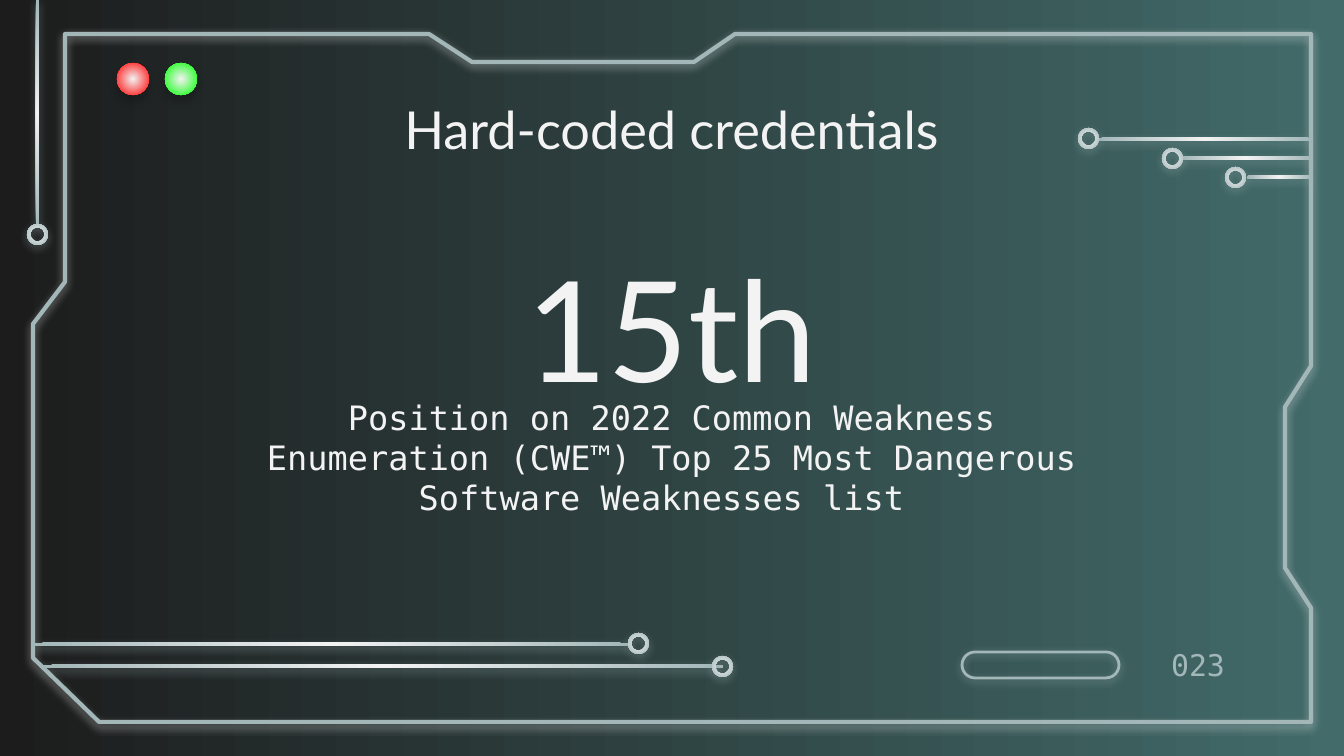
from lxml import etree
from pptx import Presentation
from pptx.dml.color import RGBColor as RGB
from pptx.enum.shapes import MSO_SHAPE as Kind
from pptx.enum.text import MSO_ANCHOR as Anchor, PP_ALIGN as Align
from pptx.oxml.ns import qn
from pptx.util import Pt

PX = 914400 / 134.4  # EMU in one px
HARD = chr(160)  # space that does not break
theme = dict(
    dark="1C1C1C", teal="426B6A", pale="F3F3F3", steel="A3B7B9",
    red="FF0000", green="00FF00", black="000000",
    head="Lato", mono="DejaVu Sans Mono",
    huge=75, title=28, body=18, page=16,
)


def shade(shape, tint, alpha=50, dist=1.5):
    """Give the shape a soft shadow that falls straight down."""
    shape.shadow.inherit = False
    fx = shape._element.spPr.find(qn("a:effectLst"))
    drop = etree.SubElement(fx, qn("a:outerShdw"), blurRad=str(Pt(4.5)),
                            dist=str(Pt(dist)), dir="5400000",
                            algn="bl", rotWithShape="0")
    hue = etree.SubElement(drop, qn("a:srgbClr"), val=theme[tint])
    etree.SubElement(hue, qn("a:alpha"), val=str(alpha * 1000))


def radial(kind, box, edge):
    """Add a shape that fades from a pale centre to the edge colour."""
    shape = slide.shapes.add_shape(kind, *[round(n * PX) for n in box])
    shape.line.fill.background()
    shape.fill.gradient()
    for stop, tone, pos in zip(shape.fill.gradient_stops, ("pale", edge), (0, 1)):
        stop.color.rgb = RGB.from_string(theme[tone])
        stop.position = pos
    grad = shape._element.spPr.find(qn("a:gradFill"))
    grad.remove(grad.find(qn("a:lin")))
    ray = etree.SubElement(grad, qn("a:path"), path="circle")
    etree.SubElement(ray, qn("a:fillToRect"), l="50000", t="50000",
                     r="50000", b="50000")
    return shape


deck = Presentation()
deck.slide_width, deck.slide_height = round(1344 * PX), round(756 * PX)
slide = deck.slides.add_slide(deck.slide_layouts[6])

# Background, dark on the left to teal on the right
back = slide.background.fill
back.gradient()
back.gradient_angle = 0
for stop, tone in zip(back.gradient_stops, ("dark", "teal")):
    stop.color.rgb = RGB.from_string(theme[tone])

# Notched frame
pts = [(1311, 34), (735, 34), (694, 62), (472, 62), (429, 34), (65, 34),
       (65, 282), (33, 324), (33, 658), (99, 722), (1311, 722), (1311, 608),
       (1285, 568), (1285, 407), (1311, 366)]
path = slide.shapes.build_freeform(*pts[0], scale=PX)
path.add_line_segments(pts[1:], close=True)
frame = path.convert_to_shape()

# Pill beside the page number
pill = slide.shapes.add_shape(
    Kind.ROUNDED_RECTANGLE, *[round(n * PX) for n in (962, 652, 157, 26)])
pill.adjustments[0] = 0.5

for shape, width in ((frame, 2.25), (pill, 1.5)):
    shape.fill.background()
    shape.line.color.rgb = RGB.from_string(theme["steel"])
    shape.line.width = Pt(width)
    shade(shape, "pale" if shape is frame else "steel")

# Circuit wires, each ending in a ring: wire box, then ring corner
wires = [
    ((36, 0, 3, 226), (27, 224)),
    ((1099, 138, 212, 3), (1078, 128)),
    ((1180, 157, 131, 3), (1162, 148)),
    ((1247, 176, 64, 3), (1225, 167)),
    ((43, 665, 680, 3), (712, 656)),
    ((35, 643, 593, 3), (628, 633)),
]
for wire, ring in wires:
    shade(radial(Kind.RECTANGLE, wire, "steel"), "steel")
    knot = radial(Kind.DONUT, (*ring, 21, 21), "steel")
    knot.adjustments[0] = 0.16
    shade(knot, "steel")

# Red and green lamps
for left, tone in ((117, "red"), (165, "green")):
    lamp = radial(Kind.OVAL, (left, 63, 32, 32), tone)
    shade(lamp, "black", 20, 3.8)

# Texts: words, box, font, size, colour, alignment, anchor, wrap
texts = [
    ("15th", (188, 258, 967, 166), "head", "huge", "pale",
     Align.CENTER, Anchor.BOTTOM, True),
    (f"Position on 2022{HARD}Common Weakness Enumeration{HARD}(CWE™) Top 25 "
     f"Most Dangerous Software Weaknesses list{HARD}", (188, 424, 967, 66),
     "mono", "body", "pale", Align.CENTER, Anchor.MIDDLE, True),
    ("023", (1157, 652, 81, 26), "mono", "page", "steel",
     Align.RIGHT, Anchor.MIDDLE, False),
    ("Hard-coded credentials", (105, 97, 1133, 63), "head", "title", "pale",
     Align.CENTER, Anchor.MIDDLE, True),
]
for words, box, face, size, tone, align, anchor, wrap in texts:
    body = slide.shapes.add_textbox(*[round(n * PX) for n in box]).text_frame
    pad = round(13 * PX)
    form = dict(word_wrap=wrap, vertical_anchor=anchor, margin_left=pad,
                margin_right=pad, margin_top=pad, margin_bottom=pad)
    for key, val in form.items():
        setattr(body, key, val)
    para = body.paragraphs[0]
    para.alignment = align
    run = para.add_run()
    run.text = words
    for key, val in dict(name=theme[face], size=Pt(theme[size])).items():
        setattr(run.font, key, val)
    run.font.color.rgb = RGB.from_string(theme[tone])

deck.save("out.pptx")
